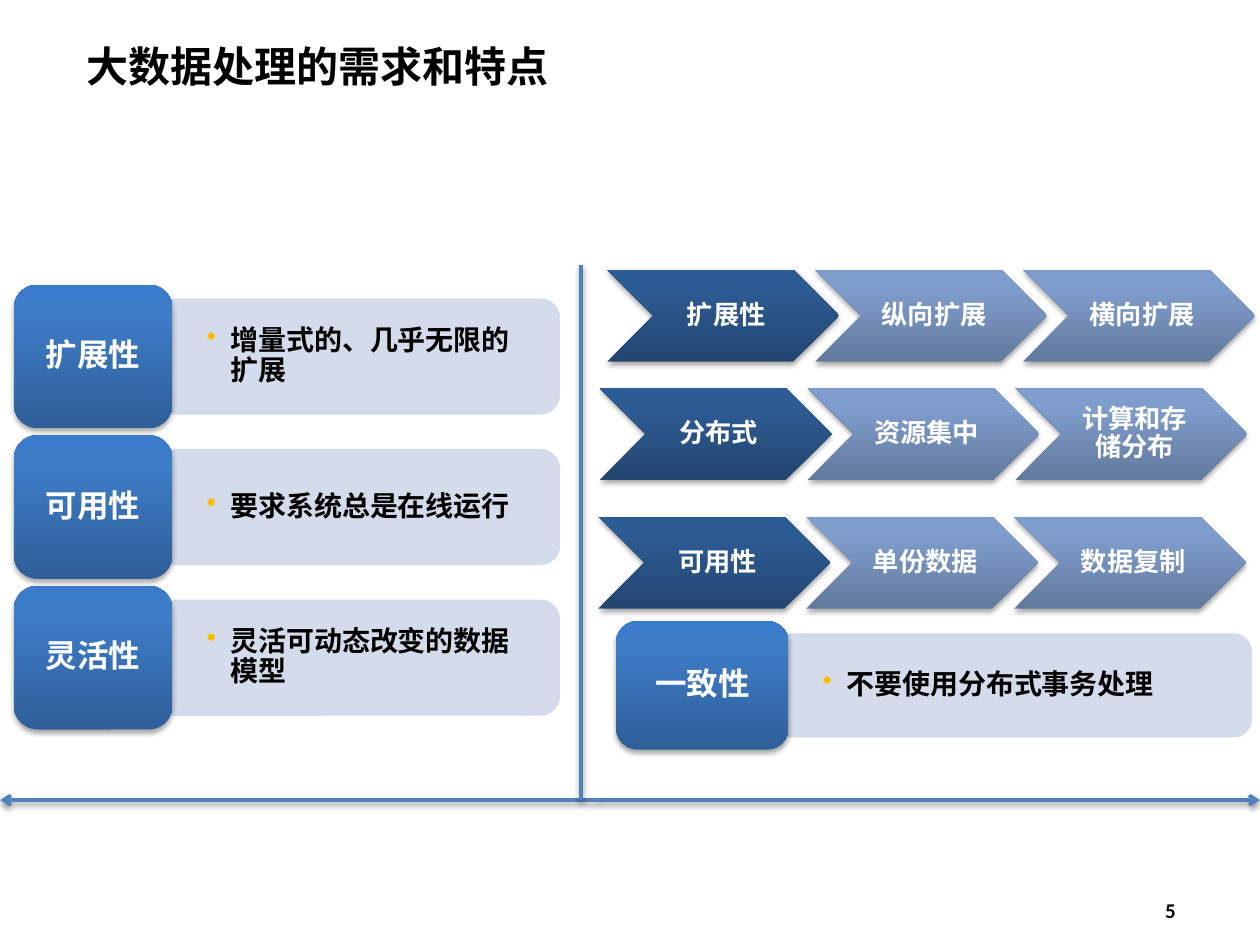
from pptx import Presentation
from pptx.dml.color import RGBColor
from pptx.enum.shapes import MSO_CONNECTOR, MSO_SHAPE
from pptx.enum.text import MSO_ANCHOR, MSO_AUTO_SIZE, PP_ALIGN
from pptx.oxml import parse_xml
from pptx.oxml.ns import nsdecls, qn
from pptx.util import Inches, Pt

CJK = "Noto Sans CJK SC"
BLUE = ("2F5F99", "3D7CC7", "3A7CCB")
NAVY = ("234671", "2D5B93", "2B5C96")
PALE = ("62799D", "7F9DCC", "7E9DCE")


def write(sp, text, size, color="FFFFFF", font=CJK, align=PP_ALIGN.CENTER,
          ins=(0.07, 0.04, 0.07, 0.04), spacing=0.9, bullet=None):
    tf = sp.text_frame
    tf.word_wrap = True
    tf.auto_size = MSO_AUTO_SIZE.NONE
    tf.vertical_anchor = MSO_ANCHOR.MIDDLE
    tf.margin_left, tf.margin_top, tf.margin_right, tf.margin_bottom = map(Inches, ins)
    p = tf.paragraphs[0]
    p.alignment = align
    p.line_spacing = spacing
    if bullet:
        pPr = p._p.get_or_add_pPr()
        pPr.set("marL", str(Inches(0.19)))
        pPr.set("indent", str(Inches(-0.19)))
        pPr.append(parse_xml(f'<a:buClr {nsdecls("a")}><a:srgbClr val="{bullet}"/></a:buClr>'))
        pPr.append(parse_xml(f'<a:buChar {nsdecls("a")} char="•"/>'))
    r = p.add_run()
    r.text = text
    r.font.size = Pt(size)
    r.font.bold = True
    r.font.name = font
    r.font.color.rgb = RGBColor.from_string(color)
    r._r.get_or_add_rPr().append(parse_xml(f'<a:ea {nsdecls("a")} typeface="{CJK}"/>'))


def finish(sp, stops=(), alpha=35, dist=1.8):
    if stops:
        sp.fill.gradient()
        sp.fill.gradient_angle = 90
        sp.line.fill.background()
        gs_lst = sp._element.spPr.find(".//" + qn("a:gsLst"))
        for gs in list(gs_lst):
            gs_lst.remove(gs)
        for pos, color in zip((0, 80, 100), stops):
            gs_lst.append(parse_xml(
                f'<a:gs {nsdecls("a")} pos="{pos * 1000}"><a:srgbClr val="{color}"/></a:gs>'))
    sp._element.spPr.append(parse_xml(
        f'<a:effectLst {nsdecls("a")}><a:outerShdw blurRad="{Pt(3.1)}" dist="{Pt(dist)}" '
        f'dir="5400000" rotWithShape="0"><a:srgbClr val="000000">'
        f'<a:alpha val="{alpha * 1000}"/></a:srgbClr></a:outerShdw></a:effectLst>'))


prs = Presentation()
prs.slide_width, prs.slide_height = Inches(10), Inches(7.5)
s = prs.slides.add_slide(prs.slide_layouts[5])
shapes = s.shapes

title = shapes.title
title.left, title.top, title.width, title.height = map(Inches, (0.59, 0.16, 7.17, 0.73))
write(title, "大数据处理的需求和特点", 24, "000000", "Arial", PP_ALIGN.LEFT,
      ins=(0.1, 0.05, 0.1, 0.05), spacing=1)

number = shapes.add_textbox(Inches(9.04), Inches(7.02), Inches(0.5), Inches(0.4))
write(number, "5", 12, "000000", "Calibri", ins=(0.06, 0.05, 0.06, 0.05), spacing=1)

cards = [
    ("扩展性", "增量式的、几乎无限的扩展", 0.11, 2.26, 1.26, 1.14, 3.07),
    ("可用性", "要求系统总是在线运行", 0.11, 3.455, 1.26, 1.14, 3.07),
    ("灵活性", "灵活可动态改变的数据模型", 0.11, 4.65, 1.26, 1.14, 3.07),
    ("一致性", "不要使用分布式事务处理", 4.89, 4.93, 1.37, 1.02, 3.67),
]
for name, detail, x, y, w, h, panel_w in cards:
    panel_x, panel_h, mid = x + w, 0.8 * h, y + h / 2
    panel = shapes.add_shape(
        MSO_SHAPE.ROUND_2_SAME_RECTANGLE,
        Inches(panel_x + (panel_w - panel_h) / 2), Inches(mid - panel_w / 2),
        Inches(panel_h), Inches(panel_w))
    panel.rotation = 90
    panel.shadow.inherit = False
    panel.fill.solid()
    panel.fill.fore_color.rgb = RGBColor.from_string("D0D8E8")
    panel.line.color.rgb = RGBColor.from_string("D0D8E8")
    panel.line.width = Pt(0.75)
    for clr in panel._element.spPr.iter(qn("a:srgbClr")):
        clr.append(parse_xml(f'<a:alpha {nsdecls("a")} val="90000"/>'))

    text_h = 0.9 * panel_h
    box = shapes.add_textbox(Inches(panel_x), Inches(mid - text_h / 2),
                             Inches(panel_w - 0.04), Inches(text_h))
    write(box, detail, 16, "000000", align=PP_ALIGN.LEFT,
          ins=(0.27, 0.14, 0.27, 0.14), bullet="FABE00")

    card = shapes.add_shape(MSO_SHAPE.ROUNDED_RECTANGLE,
                            Inches(x), Inches(y), Inches(w), Inches(h))
    finish(card, BLUE)
    write(card, name, 18)

chains = [
    (4.82, 2.14, ("扩展性", "纵向扩展", "横向扩展")),
    (4.76, 3.08, ("分布式", "资源集中", "计算和存储分布")),
    (4.75, 4.1, ("可用性", "单份数据", "数据复制")),
]
for x, y, steps in chains:
    for i, step in enumerate(steps):
        sp = shapes.add_shape(MSO_SHAPE.CHEVRON, Inches(x + 1.65 * i), Inches(y),
                              Inches(1.84), Inches(0.73))
        finish(sp, PALE if i else NAVY)
        write(sp, step, 15, ins=(0.07, 0.02, 0.02, 0.02))

axes = [
    (4.76, 6.35, 10, 6.35, True),
    (4.76, 6.35, 0, 6.35, True),
    (4.61, 2.1, 4.61, 6.35, False),
]
for x1, y1, x2, y2, arrow in axes:
    line = shapes.add_connector(MSO_CONNECTOR.STRAIGHT,
                                Inches(x1), Inches(y1), Inches(x2), Inches(y2))
    line.line.color.rgb = RGBColor.from_string("4F81BD")
    line.line.width = Pt(2)
    if arrow:
        line.line._get_or_add_ln().append(
            parse_xml(f'<a:tailEnd {nsdecls("a")} type="arrow"/>'))
    finish(line, alpha=38, dist=1.6)

prs.save("out.pptx")
